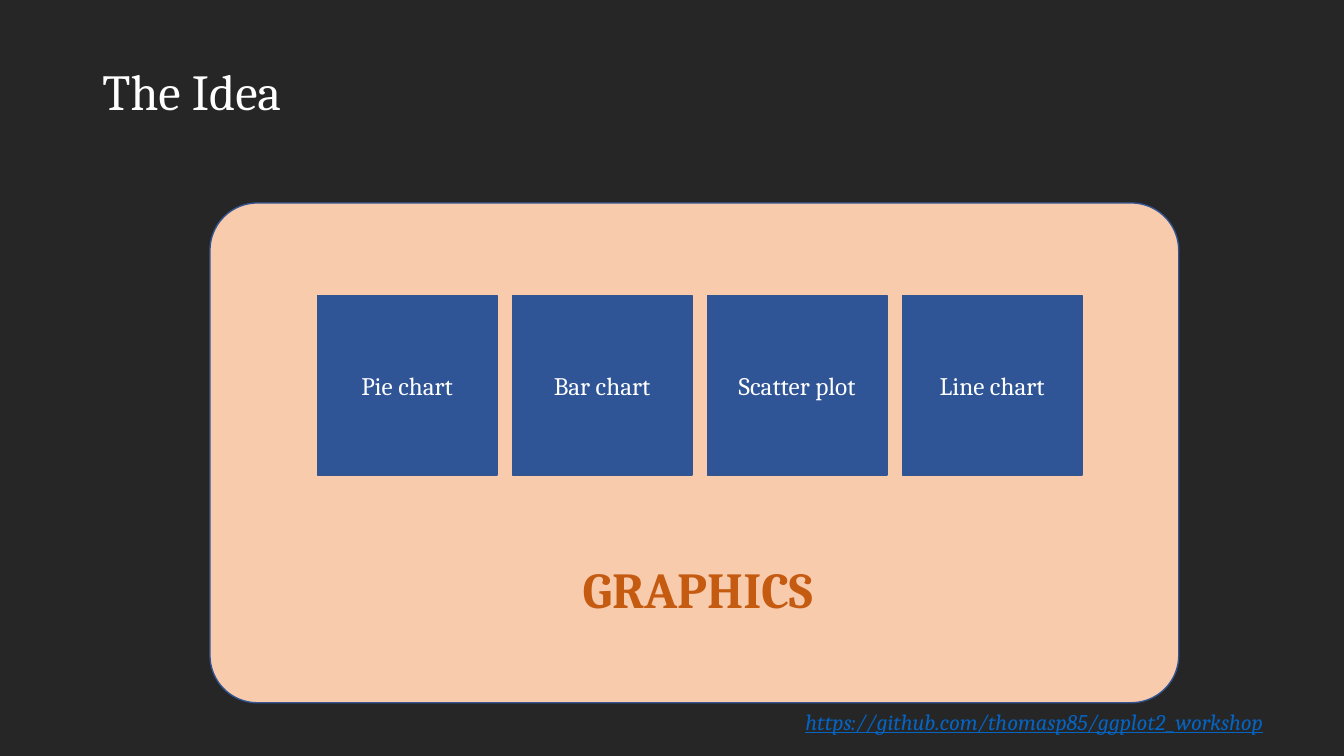
from pptx import Presentation
from pptx import util as u
from pptx.dml import color
from pptx.enum import shapes, text


def rgb(value):
    return color.RGBColor.from_string(value)


def write(shape, wording, hex_color, align, anchor, wrap=True, **font_format):
    frame = shape.text_frame
    frame.word_wrap = wrap
    frame.auto_size = text.MSO_AUTO_SIZE.NONE
    frame.vertical_anchor = anchor
    paragraph = frame.paragraphs[0]
    paragraph.alignment = align
    run = paragraph.add_run()
    run.text = wording
    for name, value in {"name": "Cambria", **font_format}.items():
        setattr(run.font, name, value)
    run.font.color.rgb = rgb(hex_color)
    return paragraph


presentation = Presentation()
presentation.slide_width = u.Pt(960)
presentation.slide_height = u.Pt(540)
slide = presentation.slides.add_slide(presentation.slide_layouts[5])
slide.background.fill.solid()
slide.background.fill.fore_color.rgb = rgb("262626")
align, anchor = text.PP_ALIGN, text.MSO_ANCHOR

# Title
title = slide.shapes.title
title.left, title.top, title.width, title.height = map(u.Pt, (66, 29, 686, 77))
heading = write(title, "The Idea", "FFFFFF", align.LEFT, anchor.MIDDLE, size=u.Pt(36))
heading.line_spacing = 0.9

# Panel, then the row of chart types on it
panel = (shapes.MSO_SHAPE.ROUNDED_RECTANGLE, 150, 145, 692, 357, "F8CBAD", None)
charts = ["Pie chart", "Bar chart", "Scatter plot", "Line chart"]
tiles = [
    (shapes.MSO_SHAPE.RECTANGLE, 226.6 + 139.3 * column, 211, 128.4, 128.4, "2F5597", label)
    for column, label in enumerate(charts)
]
for kind, left, top, width, height, fill, label in [panel, *tiles]:
    shape = slide.shapes.add_shape(kind, u.Pt(left), u.Pt(top), u.Pt(width), u.Pt(height))
    shape.shadow.inherit = False
    shape.fill.solid()
    shape.fill.fore_color.rgb = rgb(fill)
    shape.line.color.rgb = rgb("325491")
    shape.line.width = u.Pt(1)
    if label:
        write(shape, label, "FFFFFF", align.CENTER, anchor.MIDDLE, size=u.Pt(18))
    else:
        shape.adjustments[0] = 0.095

# Panel caption
caption = slide.shapes.add_textbox(u.Pt(409), u.Pt(395), u.Pt(186.5), u.Pt(51))
write(caption, "GRAPHICS", "C55A11", align.LEFT, anchor.TOP, wrap=False,
      size=u.Pt(36), bold=True)

# Source address
source = slide.shapes.add_textbox(u.Pt(400), u.Pt(502), u.Pt(509.5), u.Pt(26.6))
write(source, "https://github.com/thomasp85/ggplot2_workshop", "0563C1", align.RIGHT,
      anchor.TOP, size=u.Pt(16), italic=True, underline=True)

presentation.save("out.pptx")
